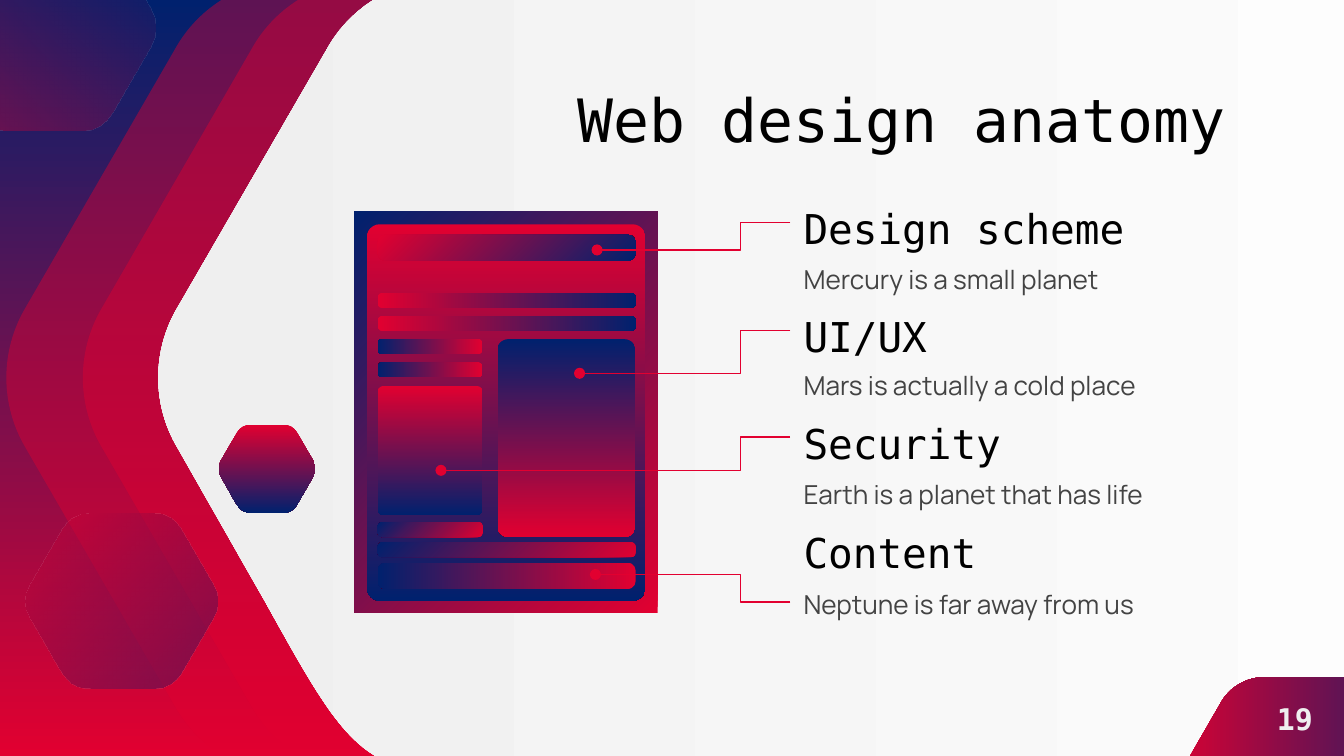
"""Builds a slide on the anatomy of a web page with a labelled page mock-up."""
from lxml.etree import SubElement
from pptx import Presentation
from pptx.dml.color import RGBColor
from pptx.enum.shapes import MSO_CONNECTOR, MSO_SHAPE
from pptx.enum.text import MSO_ANCHOR, PP_ALIGN
from pptx.oxml.ns import qn
from pptx.util import Pt

RED = RGBColor(0xE2, 0x00, 0x30)
NAVY = RGBColor(0x00, 0x21, 0x6E)
WHITE = RGBColor(0xFF, 0xFF, 0xFF)
PALE = RGBColor(0xEF, 0xEF, 0xEF)
BLACK = RGBColor(0x00, 0x00, 0x00)
GRAY = RGBColor(0x43, 0x43, 0x43)
MONO, SANS = "DejaVu Sans Mono", "Manrope"

HEXAGON_SIZE = (661, 594)
HEXAGON_START = (220, 0)
HEXAGON_SEGMENTS = [
    [(183, 0), (148, 20), (130, 53)],
    [(19, 245)],
    [(0, 277), (0, 317), (19, 349)],
    [(85, 465)],
    [(149, 580), (157, 594), (260, 594)],
    [(441, 594)],
    [(478, 594), (513, 573), (531, 541)],
    [(642, 349)],
    [(661, 317), (661, 277), (642, 245)],
    [(531, 53)],
    [(513, 20), (478, 0), (441, 0)],
]
STRETCH_FROM = 280

# left, top, width, stretch, mirror, flip, stops, angle, opacities
HEXAGONS = [
    (0, -11.5, 476, 0, True, False, (RED, RED), 0, (41, 41)),
    (41, -11.5, 476, 0, True, False, (RED, RED), 0, (41, 41)),
    (81.4, -11.5, 476, 300, False, False, (WHITE, PALE), 180, None),
    (13, 275, 104.4, 0, False, False, (RED, NAVY), 45, (43, 40)),
    (-38.2, -40.2, 122.4, 0, False, True, (RED, NAVY), 315, (43, 40)),
    (116.8, 227.5, 52.6, 0, False, False, (RED, NAVY), 90, None),
    (620, 362.8, 172.8, 0, False, False, (RED, NAVY), 0, None),
]

INNER, WIDE, NARROW, BAR, BANNER = 202.3, 138.2, 56.2, 7.9, 13.9
# left, top, width, height, corner, stops, angle
PAGE_BLOCKS = [
    (189.9, 113.4, 162.4, 214.9, 0, (RED, NAVY), 225),
    (196.7, 120.2, 149, 201.6, 0.045, (RED, NAVY), 90),
    (INNER, 125.8, WIDE, BANNER, 0.287, (RED, NAVY), 45),
    (INNER, 157, WIDE, BAR, 0.287, (RED, NAVY), 0),
    (INNER, 169.3, WIDE, BAR, 0.287, (RED, NAVY), 0),
    (266.6, 181.7, 73.7, 106, 0.077, (NAVY, RED), 90),
    (INNER, 181.7, NARROW, BAR, 0.287, (RED, NAVY), 180),
    (INNER, 194.2, NARROW, BAR, 0.287, (RED, NAVY), 180),
    (INNER, 301.6, WIDE, BANNER, 0.287, (RED, NAVY), 180),
    (INNER, 290.6, WIDE, BAR, 0.287, (RED, NAVY), 225),
    (INNER, 279.8, NARROW, BAR, 0.287, (RED, NAVY), 225),
    (INNER, 206.7, NARROW, 69.3, 0.057, (RED, NAVY), 90),
]

LABEL_LEFT, LABEL_WIDTH, LABEL_HEIGHT = 423.4, 240.5, 28.8
ELBOW_X = 396.6
# heading, text, heading top, text top, dot, line starts at heading
LABELS = [
    ("Design scheme", "Mercury is a small planet", 104.8, 133.9, (319.9, 133.9), True),
    ("UI/UX", "Mars is actually a cold place", 162.7, 190.8, (310.5, 200), True),
    ("Security", "Earth is a planet that has life", 219.8, 249.3, (236.3, 252), True),
    ("Content", "Neptune is far away from us", 278.6, 308.2, (319, 307.8), False),
]


def set_gradient(fill, stops, angle, opacities=None):
    fill.gradient()
    fill.gradient_angle = (360 - angle) % 360
    for index, (stop, color) in enumerate(zip(fill.gradient_stops, stops)):
        stop.position = index
        stop.color.rgb = color
    if opacities:
        colors = fill._xPr.iter(qn("a:srgbClr"))
        for color, opacity in zip(colors, opacities):
            SubElement(color, qn("a:alpha"), val=str(opacity * 1000))


def finish(shape, stops, angle, opacities=None):
    shape.shadow.inherit = False
    shape.line.fill.background()
    set_gradient(shape.fill, stops, angle, opacities)


def round_corners(shape):
    lines = iter(list(shape._element.iter(qn("a:lnTo"))))
    for segment in HEXAGON_SEGMENTS:
        first, *others = [next(lines) for _ in segment]
        if others:
            curve = first.makeelement(qn("a:cubicBezTo"))
            first.addprevious(curve)
            for line in (first, *others):
                curve.append(line[0])
                line.getparent().remove(line)


def add_hexagon(slide, left, top, width, stretch, mirror, flip, stops, angle, opacities):
    full_width, full_height = HEXAGON_SIZE
    scale = width / full_width
    outline = []
    for x, y in [HEXAGON_START, *sum(HEXAGON_SEGMENTS, [])]:
        extra = stretch if x > STRETCH_FROM else 0
        x = full_width - x if mirror else x
        y = full_height - y if flip else y
        outline.append((Pt(left + x * scale + extra), Pt(top + y * scale)))
    builder = slide.shapes.build_freeform(*outline[0], scale=1.0)
    builder.add_line_segments(outline[1:], close=True)
    shape = builder.convert_to_shape()
    round_corners(shape)
    finish(shape, stops, angle, opacities)


def add_block(slide, left, top, width, height, corner, stops, angle):
    kind = MSO_SHAPE.ROUNDED_RECTANGLE if corner else MSO_SHAPE.RECTANGLE
    shape = slide.shapes.add_shape(kind, Pt(left), Pt(top), Pt(width), Pt(height))
    if corner:
        shape.adjustments[0] = corner
    finish(shape, stops, angle)


def add_text(slide, text, box, size, font, color, align=PP_ALIGN.LEFT,
             anchor=MSO_ANCHOR.TOP, bold=False, spacing=1.0):
    shape = slide.shapes.add_textbox(*(Pt(length) for length in box))
    frame = shape.text_frame
    frame.text = text
    frame.word_wrap = True
    frame.vertical_anchor = anchor
    frame.margin_left = frame.margin_right = Pt(7.2)
    frame.margin_top = frame.margin_bottom = Pt(7.2)
    paragraph = frame.paragraphs[0]
    paragraph.alignment = align
    paragraph.line_spacing = spacing
    run_font = paragraph.runs[0].font
    run_font.size, run_font.name, run_font.bold = Pt(size), font, bold
    run_font.color.rgb = color
    return shape


def add_callout(slide, label, dot):
    x, y = dot
    connector = slide.shapes.add_connector(
        MSO_CONNECTOR.ELBOW, label.left, label.top + label.height // 2, Pt(x), Pt(y))
    connector.begin_connect(label, 1)
    connector.line.color.rgb = RED
    connector.line.width = Pt(0.75)
    bend = round((LABEL_LEFT - ELBOW_X) / (LABEL_LEFT - x) * 100000)
    properties = connector._element.spPr
    guides = properties.find(qn("a:prstGeom")).find(qn("a:avLst"))
    SubElement(guides, qn("a:gd"), name="adj1", fmla=f"val {bend}")
    SubElement(properties.find(qn("a:ln")), qn("a:tailEnd"), type="oval")
    SubElement(properties, qn("a:effectLst"))


def main():
    presentation = Presentation()
    presentation.slide_width, presentation.slide_height = Pt(720), Pt(405)
    slide = presentation.slides.add_slide(presentation.slide_layouts[6])
    set_gradient(slide.background.fill, (NAVY, RED), 90)
    for hexagon in HEXAGONS:
        add_hexagon(slide, *hexagon)
    add_text(slide, "Web design anatomy", (163.4, 42.5, 500.4, 42.5), 32, MONO, BLACK,
             PP_ALIGN.RIGHT, MSO_ANCHOR.MIDDLE)
    for block in PAGE_BLOCKS:
        add_block(slide, *block)
    for heading, text, heading_top, text_top, dot, from_heading in LABELS:
        heading_box = add_text(
            slide, heading, (LABEL_LEFT, heading_top, LABEL_WIDTH, LABEL_HEIGHT),
            22, MONO, BLACK, spacing=0.9)
        text_box = add_text(
            slide, text, (LABEL_LEFT, text_top, LABEL_WIDTH, LABEL_HEIGHT), 14, SANS, GRAY)
        add_callout(slide, heading_box if from_heading else text_box, dot)
    add_text(slide, "19", (667.4, 362.9, 52.6, 44.6), 16, MONO, PALE,
             PP_ALIGN.CENTER, MSO_ANCHOR.MIDDLE, bold=True)
    presentation.save("out.pptx")


if __name__ == "__main__":
    main()
